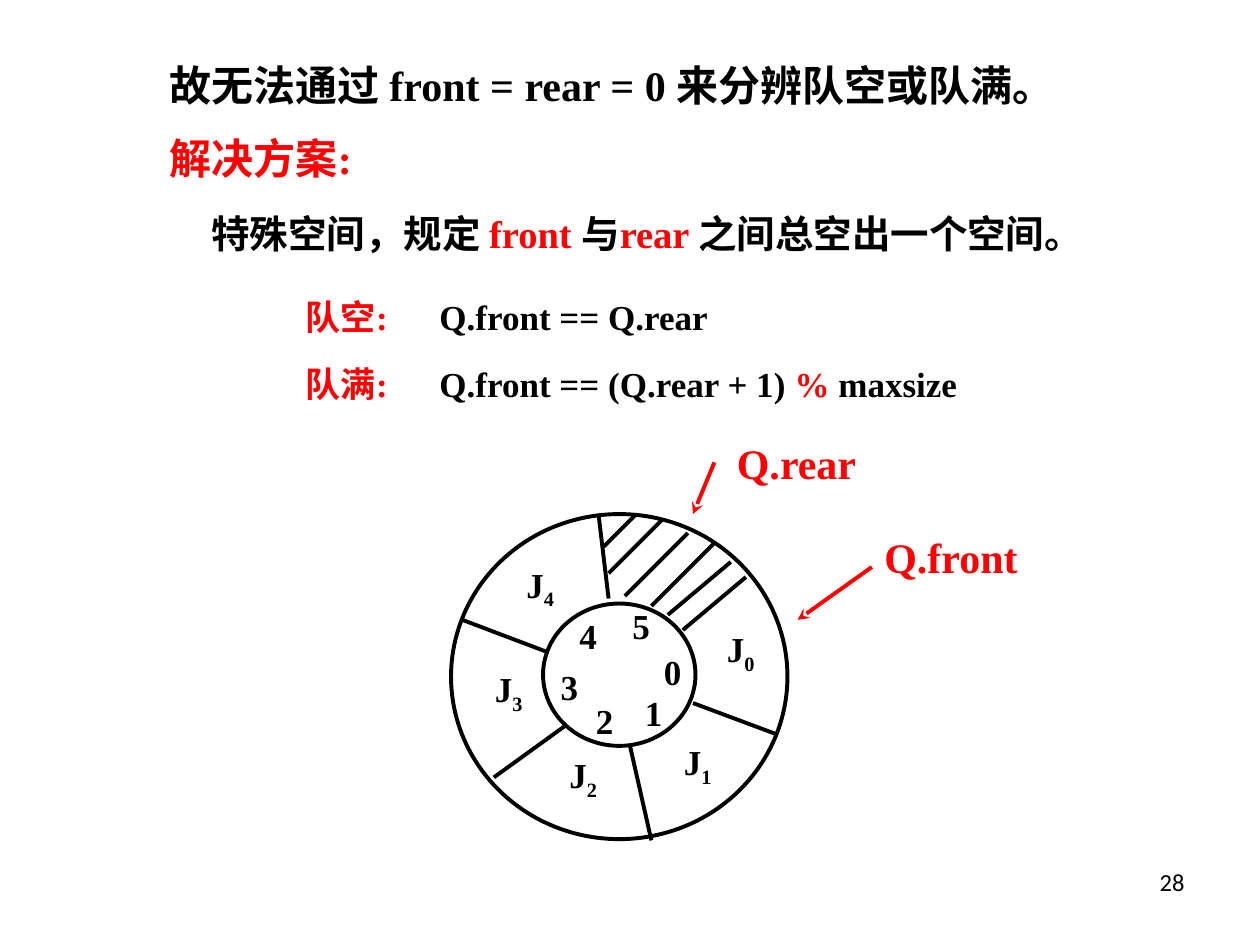
"""Build a slide on telling an empty circular queue from a full one."""
from lxml import etree
from pptx import Presentation
from pptx.dml.color import RGBColor
from pptx.enum.shapes import MSO_CONNECTOR, MSO_SHAPE
from pptx.enum.text import MSO_AUTO_SIZE, PP_ALIGN
from pptx.oxml.ns import qn
from pptx.util import Inches, Pt

STRAIGHT = MSO_CONNECTOR.STRAIGHT
OVAL = MSO_SHAPE.OVAL
GROW = MSO_AUTO_SIZE.SHAPE_TO_FIT_TEXT
RIGHT = PP_ALIGN.RIGHT

COLORS = {"ink": "000000", "accent": "FF0000"}
SERIF = "Times New Roman"
SANS = "Calibri"
LINE_WIDTH = 2.25
FORMULA_TAB = 1.06

STATEMENTS = [
    ((1.25, 0.42, 8.25, 0.5), 24, [("故无法通过 front = rear = 0 来分辨队空或队满。", "ink")]),
    ((1.25, 1, 2.83, 0.5), 24, [("解决方案:", "accent")]),
    ((1.58, 1.62, 7.92, 0.47), 22, [
        ("特殊空间，规定 ", "ink"), ("front ", "accent"), ("与", "ink"),
        ("rear ", "accent"), ("之间总空出一个空间。", "ink")]),
    ((2.33, 2.3, 4, 0.44), 20, [("队空:\t", "accent"), ("Q.front == Q.rear", "ink")]),
    ((2.33, 2.83, 5.67, 0.44), 20, [
        ("队满:\t", "accent"), ("Q.front == (Q.rear + 1) ", "ink"),
        ("%", "accent"), (" maxsize", "ink")]),
    ((6.92, 4.17, 1.33, 0.5), 24, [("Q.front", "accent")]),
    ((5.75, 3.42, 1.5, 0.5), 24, [("Q.rear", "accent")]),
]
RINGS = [(3.58, 4.08, 2.67, 2.58), (4.31, 4.79, 1.21, 1.13)]
INDEX_CORNERS = [(5.17, 5.11), (5.02, 5.44), (4.63, 5.5), (4.35, 5.23), (4.5, 4.83), (4.92, 4.75)]
ITEM_CORNERS = [(5.67, 4.93), (5.33, 5.83), (4.42, 5.93), (3.83, 5.25), (4.08, 4.42)]
DIVIDERS = [
    (5.42, 5, 5.92, 4.58), (5.5, 5.58, 6.17, 5.83), (5, 5.92, 5.17, 6.67),
    (4.5, 5.75, 3.92, 6.17), (4.83, 4.75, 4.75, 4.08), (4.33, 5.17, 3.67, 4.92),
]
HATCHING = [
    (5.04, 4.09, 4.79, 4.34), (5.25, 4.13, 4.83, 4.55), (5.46, 4.23, 4.96, 4.73),
    (5.67, 4.31, 5.17, 4.81), (5.8, 4.46, 5.3, 4.88),
]
POINTERS = [(6.92, 4.5, 6.33, 4.92), (5.67, 3.67, 5.5, 4.08)]
PAGE_NUMBER = ((7.17, 6.83, 2.33, 0.52), 14, [("28", "ink")])


def rgb(name):
    return RGBColor.from_string(COLORS[name])


def inches(values):
    return [Inches(value) for value in values]


def add_text(slide, box, size, runs, font=SERIF, bold=True, align=None):
    frame = slide.shapes.add_textbox(*inches(box)).text_frame
    frame.word_wrap = True
    if bold:
        frame.auto_size = GROW
    paragraph = frame.paragraphs[0]
    if any("\t" in text for text, _ in runs):
        tabs = etree.SubElement(paragraph._p.get_or_add_pPr(), qn("a:tabLst"))
        etree.SubElement(tabs, qn("a:tab"), pos=str(Inches(FORMULA_TAB)), algn="l")
    if align is not None:
        paragraph.alignment = align
    for text, color in runs:
        run = paragraph.add_run()
        run.text = text
        run.font.name = font
        run.font.size = Pt(size)
        run.font.bold = bold
        run.font.color.rgb = rgb(color)
    return paragraph


def add_ring(slide, box):
    ring = slide.shapes.add_shape(OVAL, *inches(box))
    ring.shadow.inherit = False
    ring.fill.background()
    ring.line.color.rgb = rgb("ink")
    ring.line.width = Pt(LINE_WIDTH)


def add_line(slide, ends, color="ink", arrow=False):
    connector = slide.shapes.add_connector(STRAIGHT, *inches(ends))
    connector.line.color.rgb = rgb(color)
    connector.line.width = Pt(LINE_WIDTH)
    if arrow:
        etree.SubElement(connector.line._get_or_add_ln(), qn("a:tailEnd"), type="stealth")
    etree.SubElement(connector._element.spPr, qn("a:effectLst"))


def main():
    presentation = Presentation()
    presentation.slide_width, presentation.slide_height = Inches(10), Inches(7.5)
    slide = presentation.slides.add_slide(presentation.slide_layouts[6])

    for box, size, runs in STATEMENTS:
        add_text(slide, box, size, runs)
    for box in RINGS:
        add_ring(slide, box)
    for ends in DIVIDERS + HATCHING:
        add_line(slide, ends)
    for ends in POINTERS:
        add_line(slide, ends, "accent", arrow=True)
    for index, corner in enumerate(INDEX_CORNERS):
        add_text(slide, (*corner, 0.42, 0.44), 20, [(str(index), "ink")])
    for index, corner in enumerate(ITEM_CORNERS):
        label = add_text(slide, (*corner, 0.58, 0.48), 20, [("J", "ink"), (str(index), "ink")])
        label.runs[1].font._element.set("baseline", "-25000")
    add_text(slide, *PAGE_NUMBER, font=SANS, bold=False, align=RIGHT)

    presentation.save("out.pptx")


if __name__ == "__main__":
    main()
